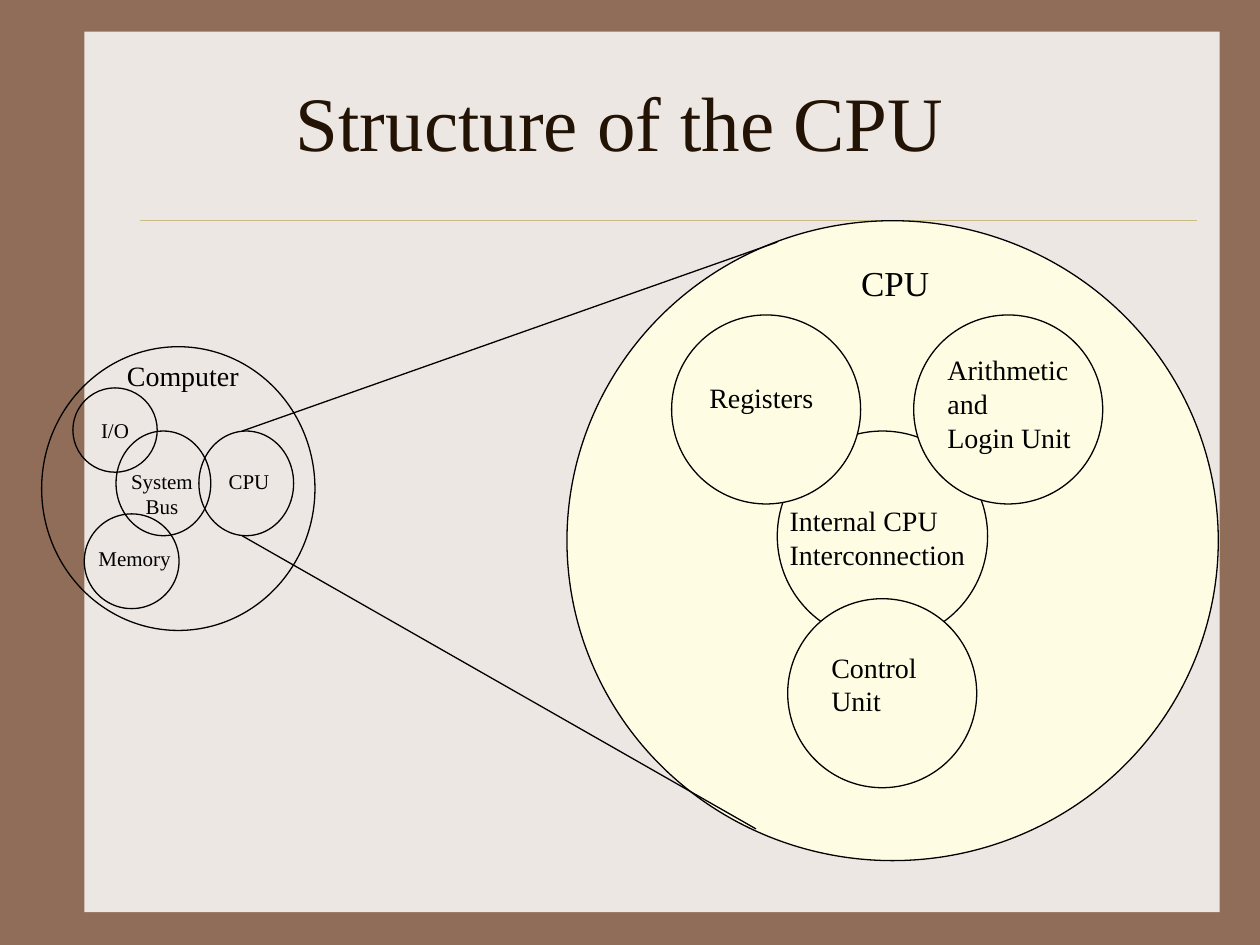
from lxml.etree import SubElement
from pptx import Presentation
from pptx.dml.color import RGBColor
from pptx.enum.shapes import MSO_CONNECTOR, MSO_SHAPE
from pptx.enum.text import MSO_ANCHOR, PP_ALIGN
from pptx.oxml.ns import qn
from pptx.util import Cm, Pt

THEME = {
    "font": "Times New Roman",
    "border": "906D58",
    "panel": "EDE7E3",
    "rule": "CBBD83",
    "title": "221304",
    "ink": "000000",
    "cream": "FEFDE3",
    "line_width": 0.75,
}
CENTERED = {"alignment": PP_ALIGN.CENTER, "anchor": MSO_ANCHOR.MIDDLE, "color": "ink"}
STYLES = {
    "title": {**CENTERED, "size": 44, "color": "title"},
    "heading": {**CENTERED, "size": 20},
    "part": {"alignment": PP_ALIGN.LEFT, "anchor": MSO_ANCHOR.TOP, "color": "ink", "size": 16},
    "small": {**CENTERED, "size": 12},
}

PANEL = (1.7, 0.64, 22.89, 17.75)
CIRCLES = [
    ((11.43, 4.45, 13.13, 12.9), "cream", None),
    ((15.67, 8.69, 4.24, 4.24), "cream", None),
    ((13.54, 6.35, 3.81, 3.81), "cream", None),
    ((0.84, 6.99, 5.51, 5.72), None, None),
    ((18.42, 6.35, 3.81, 3.81), "cream", None),
    ((15.88, 12.07, 3.81, 3.81), "cream", None),
    ((4.01, 8.69, 1.91, 2.11), None, None),
    ((1.47, 7.82, 1.7, 1.7), None, "I/O"),
    ((1.7, 10.36, 1.91, 1.91), None, None),
    ((2.34, 8.69, 1.91, 2.11), None, None),
]
TITLE_RULE = (2.82, 4.45, 24.13, 4.45)
ZOOM_LINES = [(4.88, 8.69, 15.67, 4.88), (4.88, 10.8, 15.24, 16.71)]
LABELS = [
    ("Structure of the CPU", (1.07, 0.84, 22.86, 3.18), "title"),
    ("Computer", (2.31, 7.11, 2.97, 0.94), "part"),
    ("Arithmetic\nand\nLogin Unit", (18.85, 6.99, 3.05, 2.29), "part"),
    ("Control\nUnit", (16.51, 12.98, 2.31, 1.63), "part"),
    ("Internal CPU\nInterconnection", (15.67, 10.03, 4.37, 1.63), "part"),
    ("Registers", (14.05, 7.54, 2.9, 0.94), "part"),
    ("CPU", (4.32, 9.32, 1.4, 0.76), "small"),
    ("Memory", (1.7, 10.87, 2.03, 0.76), "small"),
    ("System\nBus", (2.31, 9.32, 1.91, 1.27), "small"),
    ("CPU", (17.04, 5.16, 2.01, 1.09), "heading"),
]


def theme_color(name):
    """Return a theme colour by name."""
    return RGBColor.from_string(THEME[name])


def apply_format(target, values):
    """Set each attribute named in a dict of format values."""
    for name, value in values.items():
        setattr(target, name, value)


def write_text(shape, text, style_name):
    """Write one paragraph per line of text in the named style."""
    style = STYLES[style_name]
    frame = shape.text_frame
    frame.text = text
    apply_format(frame, {"word_wrap": False, "vertical_anchor": style["anchor"]})
    for paragraph in frame.paragraphs:
        paragraph.alignment = style["alignment"]
        apply_format(paragraph.font, {"name": THEME["font"], "size": Pt(style["size"])})
        paragraph.font.color.rgb = theme_color(style["color"])


def add_figure(slide, kind, box, fill, line):
    """Add a preset shape with an optional fill and outline."""
    shape = slide.shapes.add_shape(kind, *map(Cm, box))
    shape.shadow.inherit = False
    if fill:
        shape.fill.solid()
        shape.fill.fore_color.rgb = theme_color(fill)
    else:
        shape.fill.background()
    if line:
        shape.line.color.rgb = theme_color(line)
        shape.line.width = Pt(THEME["line_width"])
    else:
        shape.line.fill.background()
    return shape


def add_line(slide, ends, color):
    """Add a straight connector without a shadow."""
    connector = slide.shapes.add_connector(MSO_CONNECTOR.STRAIGHT, *map(Cm, ends))
    connector.line.color.rgb = theme_color(color)
    connector.line.width = Pt(THEME["line_width"])
    SubElement(connector._element.spPr, qn("a:effectLst"))


def main():
    """Build the slide and save it."""
    presentation = Presentation()
    apply_format(presentation, {"slide_width": Cm(25.4), "slide_height": Cm(19.05)})
    slide = presentation.slides.add_slide(presentation.slide_layouts[6])
    slide.background.fill.solid()
    slide.background.fill.fore_color.rgb = theme_color("border")
    add_figure(slide, MSO_SHAPE.RECTANGLE, PANEL, "panel", None)
    add_line(slide, TITLE_RULE, "rule")
    for box, fill, text in CIRCLES:
        circle = add_figure(slide, MSO_SHAPE.OVAL, box, fill, "ink")
        if text:
            write_text(circle, text, "small")
    for ends in ZOOM_LINES:
        add_line(slide, ends, "ink")
    for text, box, style_name in LABELS:
        write_text(slide.shapes.add_textbox(*map(Cm, box)), text, style_name)
    presentation.save("out.pptx")


if __name__ == "__main__":
    main()
